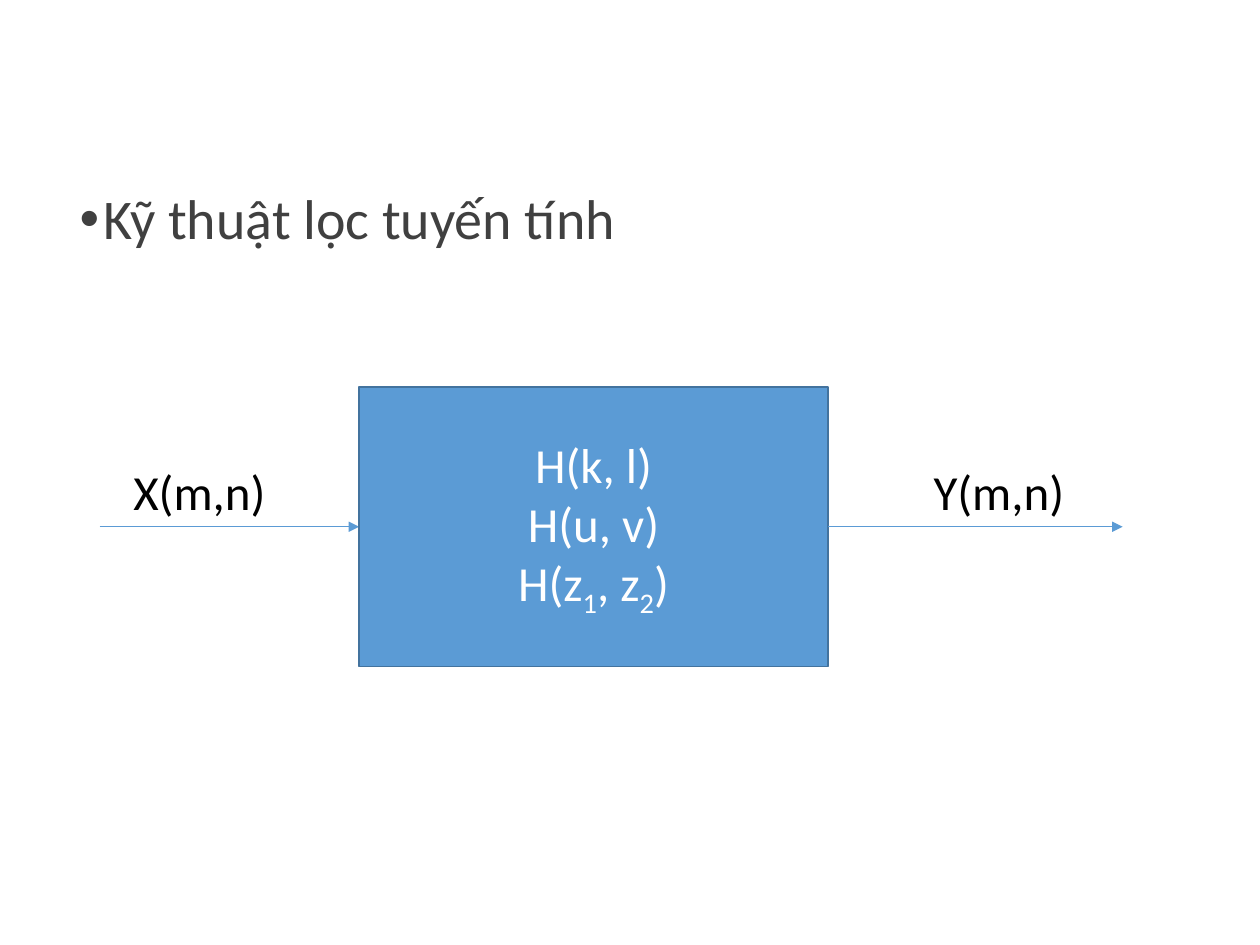
import pptx
import pptx.dml.color
import pptx.enum.shapes
import pptx.enum.text
import pptx.oxml.ns
import pptx.util
import lxml.etree

Cm = pptx.util.Cm
Pt = pptx.util.Pt
MSO_SHAPE = pptx.enum.shapes.MSO_SHAPE
MSO_CONNECTOR = pptx.enum.shapes.MSO_CONNECTOR
MSO_ANCHOR = pptx.enum.text.MSO_ANCHOR
MSO_AUTO_SIZE = pptx.enum.text.MSO_AUTO_SIZE
PP_ALIGN = pptx.enum.text.PP_ALIGN

COLORS = {
    "text": "404040",
    "label": "000000",
    "filter": "5B9BD5",
    "border": "43739E",
    "filter_text": "FFFFFF",
}


def rgb(name):
    return pptx.dml.color.RGBColor.from_string(COLORS[name])


def set_attrs(obj, values):
    for name, value in values.items():
        setattr(obj, name, value)


def sub(parent, tag, **attrs):
    return lxml.etree.SubElement(parent, pptx.oxml.ns.qn(tag), attrs)


def add_run(p, text, size, color, subscript=False):
    r = p.add_run()
    r.text = text
    set_attrs(r.font, {"name": "Calibri", "size": Pt(size)})
    r.font.color.rgb = rgb(color)
    if subscript:
        r.font._element.set("baseline", "-25000")


def add_body(s, left, top, width, height):
    sp = s.placeholders[1]
    set_attrs(sp, {"left": Cm(left), "top": Cm(top),
                   "width": Cm(width), "height": Cm(height)})
    tf = sp.text_frame
    set_attrs(tf, {"word_wrap": True, "auto_size": MSO_AUTO_SIZE.NONE})
    p = tf.paragraphs[0]
    set_attrs(p, {"line_spacing": 0.9, "space_before": Pt(7.5)})
    pPr = p._p.get_or_add_pPr()
    indent = Cm(0.48)
    pPr.set("marL", str(indent))
    pPr.set("indent", str(-indent))
    sub(pPr, "a:buFont", typeface="Arial")
    sub(pPr, "a:buChar", char="•")
    add_run(p, "Kỹ thuật lọc tuyến tính", 32, "text")


def add_arrow(s, x1, x2, y):
    line = s.shapes.add_connector(MSO_CONNECTOR.STRAIGHT, Cm(x1), Cm(y), Cm(x2), Cm(y))
    line.line.width = Pt(0.5)
    line.line.color.rgb = rgb("filter")
    sub(line.line._get_or_add_ln(), "a:tailEnd", type="triangle")
    sub(line._element.spPr, "a:effectLst")


def add_label(s, text, left, bottom, width):
    height = 1.45
    sp = s.shapes.add_textbox(Cm(left), Cm(bottom - height), Cm(width), Cm(height))
    tf = sp.text_frame
    set_attrs(tf, {"word_wrap": True, "auto_size": MSO_AUTO_SIZE.SHAPE_TO_FIT_TEXT})
    add_run(tf.paragraphs[0], text, 28, "label")


def add_filter(s, left, top, width, height):
    sp = s.shapes.add_shape(MSO_SHAPE.RECTANGLE, Cm(left), Cm(top), Cm(width), Cm(height))
    sp.shadow.inherit = False
    sp.fill.solid()
    sp.fill.fore_color.rgb = rgb("filter")
    sp.line.color.rgb = rgb("border")
    sp.line.width = Pt(1)
    tf = sp.text_frame
    set_attrs(tf, {"word_wrap": True, "vertical_anchor": MSO_ANCHOR.MIDDLE})
    lines = [["H(k, l)"], ["H(u, v)"], ["H(z", "1", ", z", "2", ")"]]
    for i, parts in enumerate(lines):
        p = tf.add_paragraph() if i else tf.paragraphs[0]
        p.alignment = PP_ALIGN.CENTER
        for j, part in enumerate(parts):
            add_run(p, part, 28, "filter_text", subscript=j % 2 == 1)


def add_diagram(s, left, top, width, height):
    middle = top + height / 2
    filter_left, filter_width = left + 5.23, 9.45
    filter_right = filter_left + filter_width
    add_arrow(s, left, filter_left, middle)
    add_filter(s, filter_left, top, filter_width, height)
    add_arrow(s, filter_right, left + width, middle)
    add_label(s, "X(m,n)", left + 0.43, middle, 3.86)
    add_label(s, "Y(m,n)", left + 16.56, middle, 3.33)


def main():
    prs = pptx.Presentation()
    set_attrs(prs, {"slide_width": Cm(25.4), "slide_height": Cm(19.05)})
    s = prs.slides.add_slide(prs.slide_layouts[1])
    title = s.shapes.title._element
    title.getparent().remove(title)
    add_body(s, 1.35, 3.73, 22.3, 13.61)
    add_diagram(s, 2.01, 7.8, 20.62, 5.64)
    prs.save("out.pptx")


if __name__ == "__main__":
    main()
